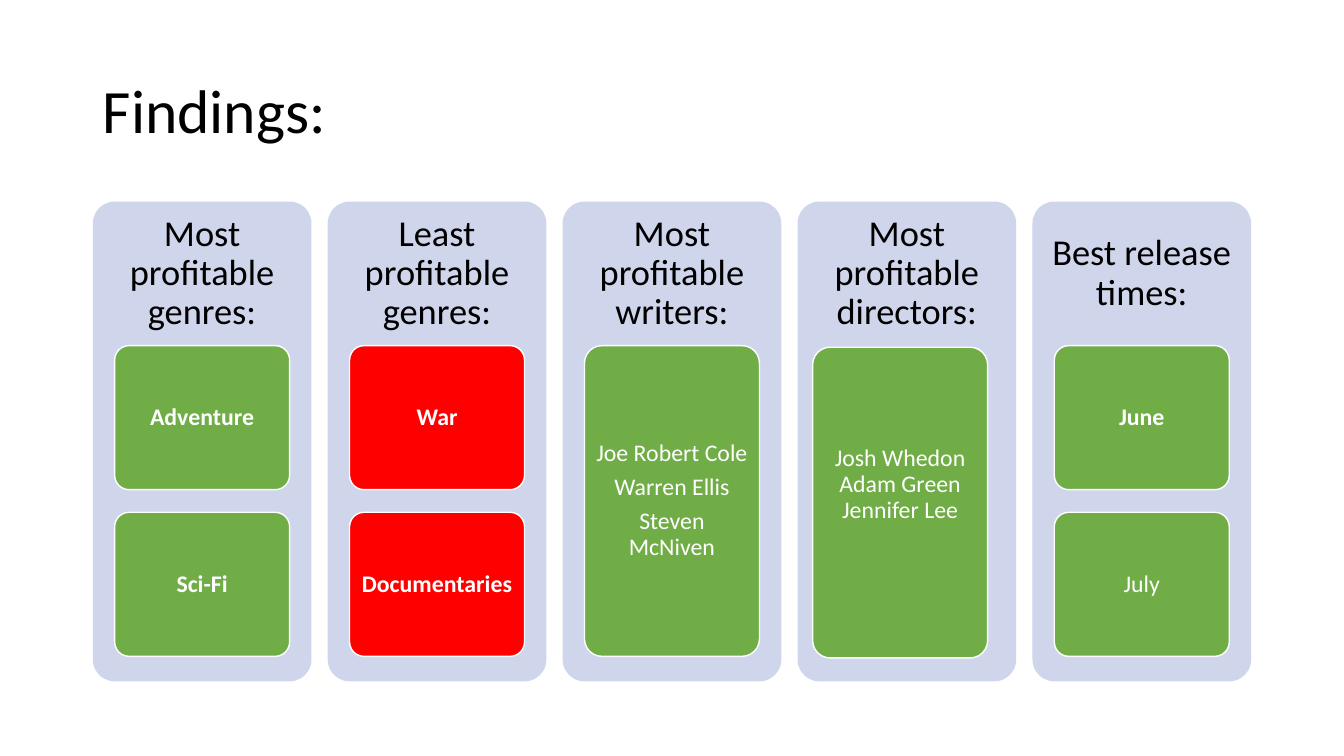
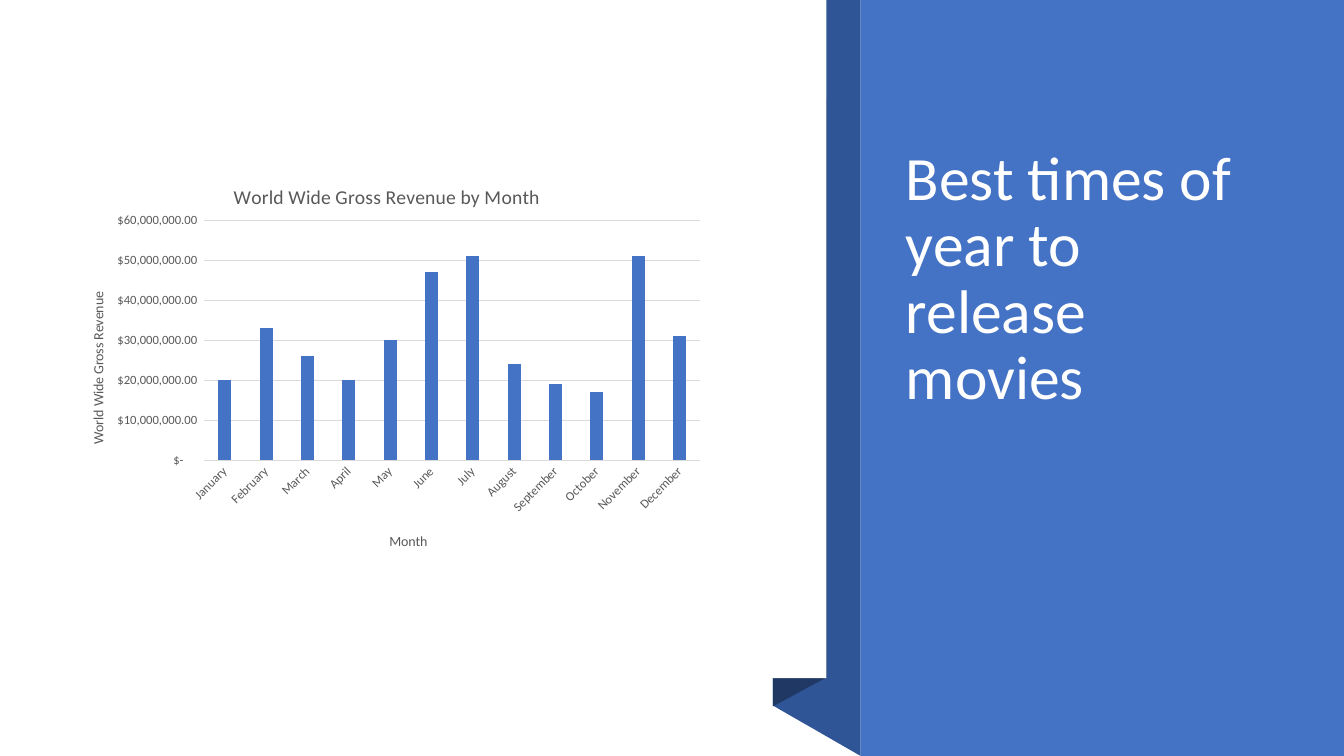
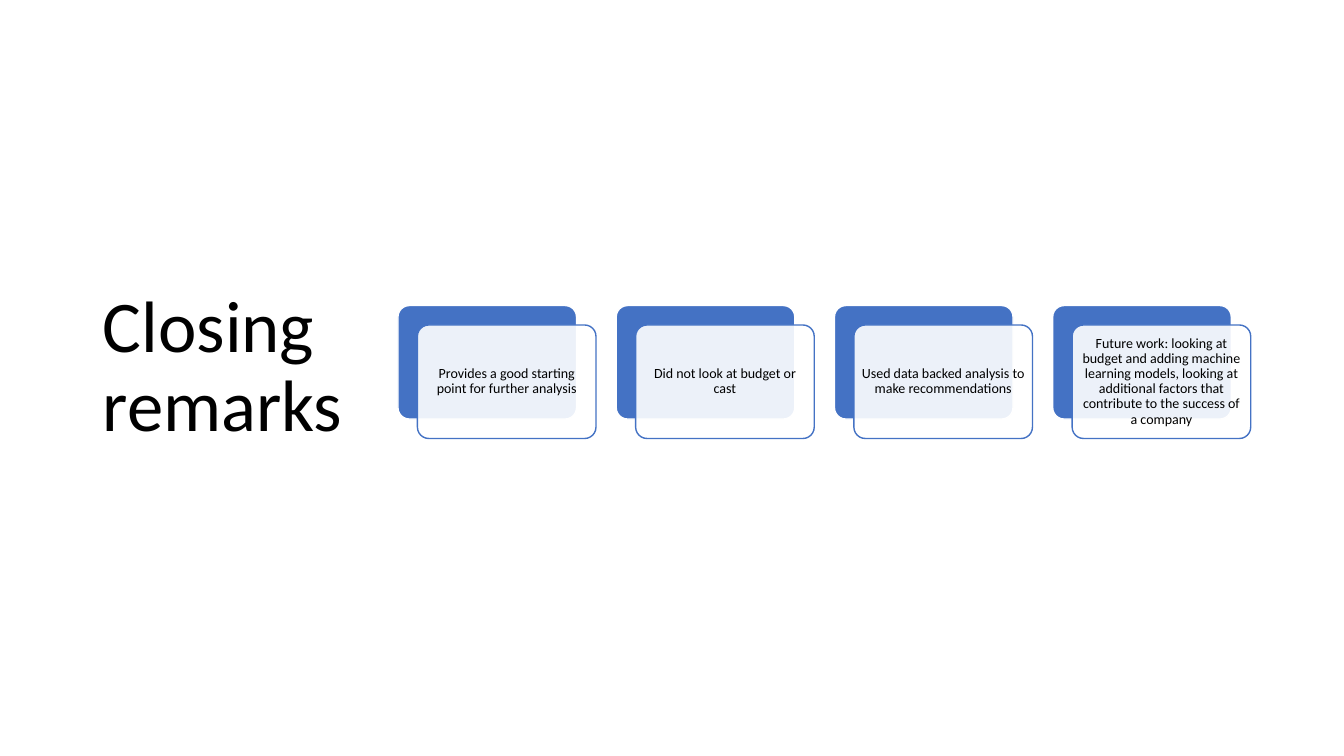
import dataclasses
import typing

import lxml.etree
import pptx
import pptx.chart.data
import pptx.dml.color
import pptx.enum.chart
import pptx.enum.shapes
import pptx.enum.text
import pptx.oxml.ns
import pptx.util

Cm = pptx.util.Cm
Pt = pptx.util.Pt
RGBColor = pptx.dml.color.RGBColor
Anchor = pptx.enum.text.MSO_ANCHOR
Align = pptx.enum.text.PP_ALIGN
Kind = pptx.enum.shapes.MSO_SHAPE
qn = pptx.oxml.ns.qn

# Shared style
FONT = "Calibri"
BLACK = RGBColor(0x00, 0x00, 0x00)
WHITE = RGBColor(0xFF, 0xFF, 0xFF)
BLUE = RGBColor(0x44, 0x72, 0xC4)
NAVY = RGBColor(0x2F, 0x55, 0x97)
DARK = RGBColor(0x20, 0x38, 0x64)
PALE = RGBColor(0xCF, 0xD5, 0xEA)
GREEN = RGBColor(0x70, 0xAD, 0x47)
RED = RGBColor(0xFF, 0x00, 0x00)
GRAY = RGBColor(0x59, 0x59, 0x59)
LIGHT = RGBColor(0xD9, 0xD9, 0xD9)
WIDTH, HEIGHT = 33.87, 19.05


@dataclasses.dataclass
class Card:
    text: str
    bold: bool = True


@dataclasses.dataclass
class Panel:
    head: str
    cards: list[Card]
    fill: RGBColor = GREEN
    shift: tuple[float, float] = (0, 0)
    foot: float = 0.1


PANELS = [
    Panel("Most profitable genres:", [Card("Adventure"), Card("Sci-Fi")]),
    Panel("Least profitable genres:", [Card("War"), Card("Documentaries")], RED),
    Panel("Most profitable writers:",
          [Card("Joe Robert Cole\nWarren Ellis\nSteven McNiven", False)]),
    Panel("Most profitable directors:",
          [Card("Josh Whedon Adam Green Jennifer Lee", False)],
          shift=(-0.17, 0.04), foot=1.0),
    Panel("Best release times:", [Card("June"), Card("July", False)]),
]
SALES = {
    "January": 20, "February": 33, "March": 26, "April": 20,
    "May": 30, "June": 47, "July": 51, "August": 24,
    "September": 19, "October": 17, "November": 51, "December": 31,
}
NOTES = [
    "Provides a good starting point for further analysis",
    "Did not look at budget or cast",
    "Used data backed analysis to make recommendations",
    "Future work: looking at budget and adding machine learning models, "
    "looking at additional factors that contribute to the success of a company",
]


def write(frame, text: str, *, size: float, color: RGBColor = BLACK,
          bold: bool = False, align=Align.CENTER, anchor=Anchor.MIDDLE,
          pad: tuple[float, float, float, float] = (0.25, 0.13, 0.25, 0.13),
          after: float = 0.35) -> None:
    """Fill a text frame; each line of text becomes a paragraph."""
    frame.word_wrap = True
    frame.auto_size = pptx.enum.text.MSO_AUTO_SIZE.NONE
    frame.vertical_anchor = anchor
    (frame.margin_left, frame.margin_top,
     frame.margin_right, frame.margin_bottom) = map(Cm, pad)
    frame.text = text
    for para in frame.paragraphs:
        para.alignment = align
        para.line_spacing = 0.9
        para.space_after = Pt(round(size * after))
        style(para.font, size, color, bold)
        for run in para.runs:
            style(run.font, size, color, bold)


def style(font, size: float, color: RGBColor, bold: bool = False) -> None:
    font.name, font.size, font.bold = FONT, Pt(size), bold
    font.color.rgb = color


def paint(shape, fill: RGBColor, line: typing.Optional[RGBColor] = None) -> None:
    shape.shadow.inherit = False
    shape.fill.solid()
    shape.fill.fore_color.rgb = fill
    if line is None:
        shape.line.fill.background()
    else:
        shape.line.color.rgb = line
        shape.line.width = Pt(1)


def block(slide, left: float, top: float, width: float, height: float,
          fill: RGBColor, line: typing.Optional[RGBColor] = None,
          kind=Kind.ROUNDED_RECTANGLE):
    shape = slide.shapes.add_shape(kind, Cm(left), Cm(top), Cm(width), Cm(height))
    if kind == Kind.ROUNDED_RECTANGLE:
        shape.adjustments[0] = 0.1
    paint(shape, fill, line)
    return shape


def outline(slide, points: list[tuple[float, float]], fill: RGBColor) -> None:
    spots = [(Cm(x), Cm(y)) for x, y in points]
    pen = slide.shapes.build_freeform(*spots[0])
    pen.add_line_segments(spots[1:], close=True)
    paint(pen.convert_to_shape(), fill)


def start(deck, text: str, left: float, top: float, width: float, height: float,
          size: float = 44, color: RGBColor = BLACK, anchor=Anchor.MIDDLE):
    """Add a title-only slide and set its title."""
    slide = deck.slides.add_slide(deck.slide_layouts[5])
    title = slide.shapes.title
    title.left, title.top = Cm(left), Cm(top)
    title.width, title.height = Cm(width), Cm(height)
    write(title.text_frame, text, size=size, color=color,
          align=Align.LEFT, anchor=anchor, after=0)
    return slide


def place(node, index: int, **spots: float) -> None:
    """Give a chart part a fixed place, in shares of the chart."""
    for old in node.findall(qn("c:layout")):
        node.remove(old)
    layout = lxml.etree.Element(qn("c:layout"))
    manual = lxml.etree.SubElement(layout, qn("c:manualLayout"))
    if "w" in spots:
        lxml.etree.SubElement(manual, qn("c:layoutTarget"), val="inner")
    for name in ("x", "y"):
        lxml.etree.SubElement(manual, qn(f"c:{name}Mode"), val="edge")
    for name, value in spots.items():
        lxml.etree.SubElement(manual, qn(f"c:{name}"), val=str(value))
    node.insert(index, layout)


def label(title, text: str, size: float, x: float, y: float) -> None:
    title.text_frame.text = text
    style(title.text_frame.paragraphs[0].runs[0].font, size, GRAY)
    place(title.element, 1, x=x, y=y)


def findings(deck) -> None:
    slide = start(deck, "Findings:", 2.34, 1.02, 29.21, 3.68)
    left, top, width, step = 2.34, 5.08, 5.51, 5.92
    tall, gap, inset = 3.63, 0.57, 0.55
    for col, panel in enumerate(PANELS):
        x = left + col * step
        block(slide, x, top, width, 12.09, PALE)
        head = slide.shapes.add_textbox(Cm(x), Cm(top), Cm(width), Cm(tall))
        write(head.text_frame, panel.head, size=26, pad=(0.28,) * 4)
        # Cards share the room of two rows
        count = len(panel.cards)
        high = (2 * tall + gap - (count - 1) * gap) / count
        dx, dy = panel.shift
        for row, card in enumerate(panel.cards):
            shape = block(slide, x + inset + dx, top + tall + row * (high + gap) + dy,
                          width - 2 * inset, high, panel.fill, WHITE)
            write(shape.text_frame, card.text, size=17, color=WHITE,
                  bold=card.bold, pad=(0.13, 0.1, 0.13, panel.foot))


def season(deck) -> None:
    slide = start(deck, "Best times of year to release movies", 22.58, 2.95,
                  9.07, 7.59, color=WHITE, anchor=Anchor.BOTTOM)
    # Folded ribbon and side panel
    fold, edge, side = 19.48, 20.83, 21.69
    outline(slide, [(fold, 0), (side, 0), (side, HEIGHT), (fold, 17.78)], NAVY)
    outline(slide, [(edge, 17.07), (fold, 17.8), (fold, 3.18), (edge, 2.46)], DARK)
    block(slide, 0, 0, edge, 17.09, WHITE, kind=Kind.RECTANGLE)
    block(slide, side, 0, WIDTH - side, HEIGHT, BLUE, kind=Kind.RECTANGLE)
    title = slide.shapes.title.element
    title.getparent().append(title)

    # Column chart
    data = pptx.chart.data.CategoryChartData()
    data.categories = list(SALES)
    data.add_series("Series 1", [value * 1_000_000 for value in SALES.values()])
    chart = slide.shapes.add_chart(
        pptx.enum.chart.XL_CHART_TYPE.COLUMN_CLUSTERED,
        Cm(1.52), Cm(4.01), Cm(16.46), Cm(10.26), data).chart
    style(chart.font, 10, BLACK)
    chart.has_legend = False
    label(chart.chart_title, "World Wide Gross Revenue by Month", 14, 0.26, 0.05)
    plot = chart.plots[0]
    plot.gap_width, plot.overlap, plot.vary_by_categories = 219, -27, False
    bars = plot.series[0].format.fill
    bars.solid()
    bars.fore_color.rgb = BLUE

    # Axes
    months, money = chart.category_axis, chart.value_axis
    for axis in (months, money):
        axis.major_tick_mark = pptx.enum.chart.XL_TICK_MARK.NONE
        style(axis.tick_labels.font, 9, GRAY)
    label(months.axis_title, "Month", 10, 0.5, 0.91)
    label(money.axis_title, "World Wide Gross Revenue", 10, 0.04, 0.32)
    money.minimum_scale, money.maximum_scale = 0, 60_000_000
    money.major_unit = 10_000_000
    money.tick_labels.number_format = (
        '_("$"* #,##0.00_);_("$"* \\(#,##0.00\\);_("$"* "-"??_);_(@_)')
    money.tick_labels.number_format_is_linked = False
    money.format.line.fill.background()
    for line in (months.format.line, money.major_gridlines.format.line):
        line.color.rgb = LIGHT
        line.width = Pt(0.75)
    area = chart.element.find(".//" + qn("c:plotArea"))
    slant = area.find(f"{qn('c:catAx')}/{qn('c:txPr')}/{qn('a:bodyPr')}")
    slant.set("rot", "-2700000")
    place(area, 0, x=0.22, y=0.15, w=0.76, h=0.59)


def closing(deck) -> None:
    slide = start(deck, "Closing remarks", 2.34, 1.55, 9.37, 15.47, size=52)
    left, top, step, shift = 10.03, 7.7, 5.5, 0.49
    width, height = 4.5, 2.86
    for col, note in enumerate(NOTES):
        x = left + col * step
        block(slide, x, top, width, height, BLUE, WHITE)
        front = block(slide, x + shift, top + shift, width, height, WHITE, BLUE)
        tint = front.fill.fore_color.rgb and front.element.spPr.find(
            f"{qn('a:solidFill')}/{qn('a:srgbClr')}")
        lxml.etree.SubElement(tint, qn("a:alpha"), val="90000")
        write(front.text_frame, note, size=10, pad=(0.1,) * 4)


def main() -> None:
    deck = pptx.Presentation()
    deck.slide_width, deck.slide_height = Cm(WIDTH), Cm(HEIGHT)
    findings(deck)
    season(deck)
    closing(deck)
    deck.save("out.pptx")


if __name__ == "__main__":
    main()
